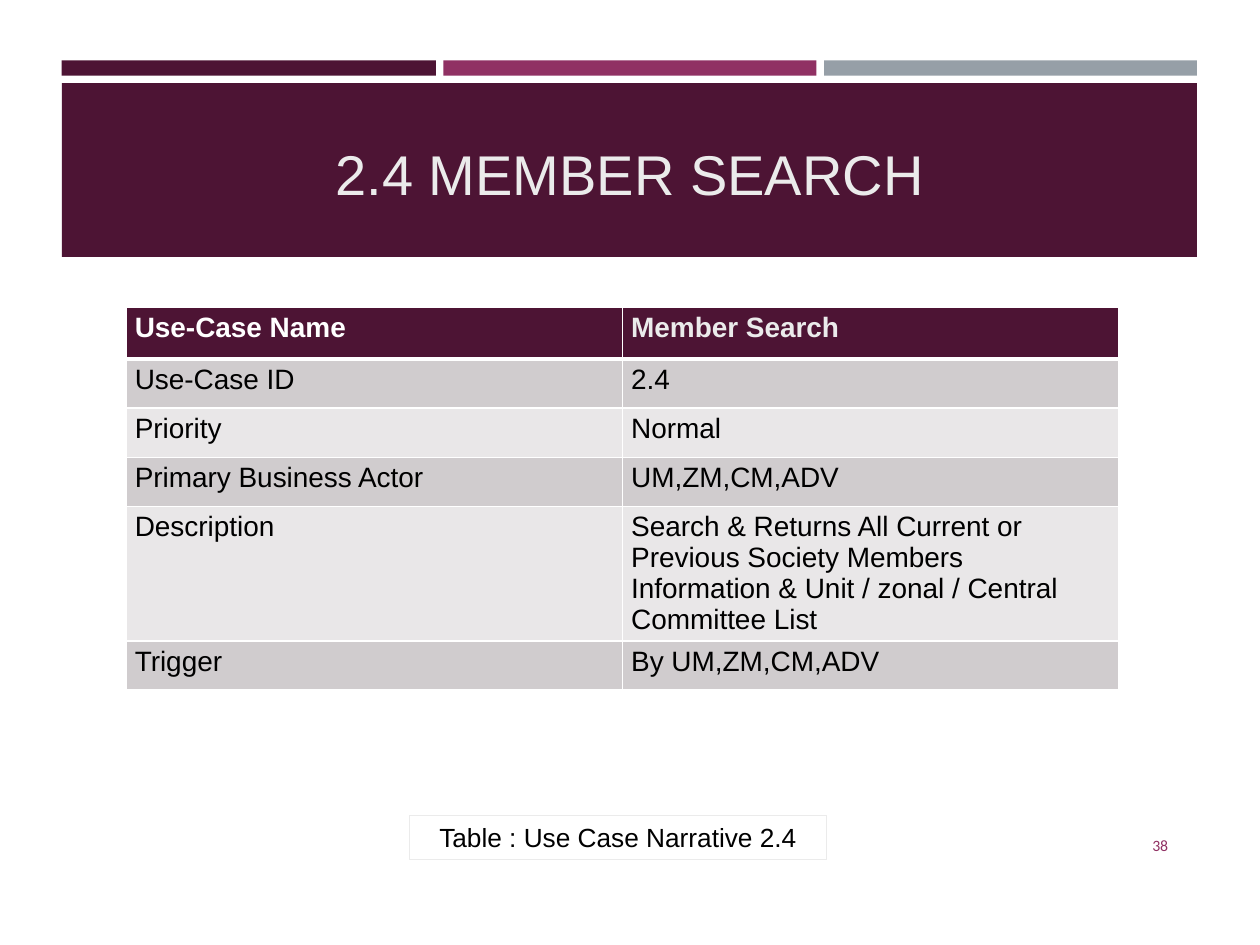
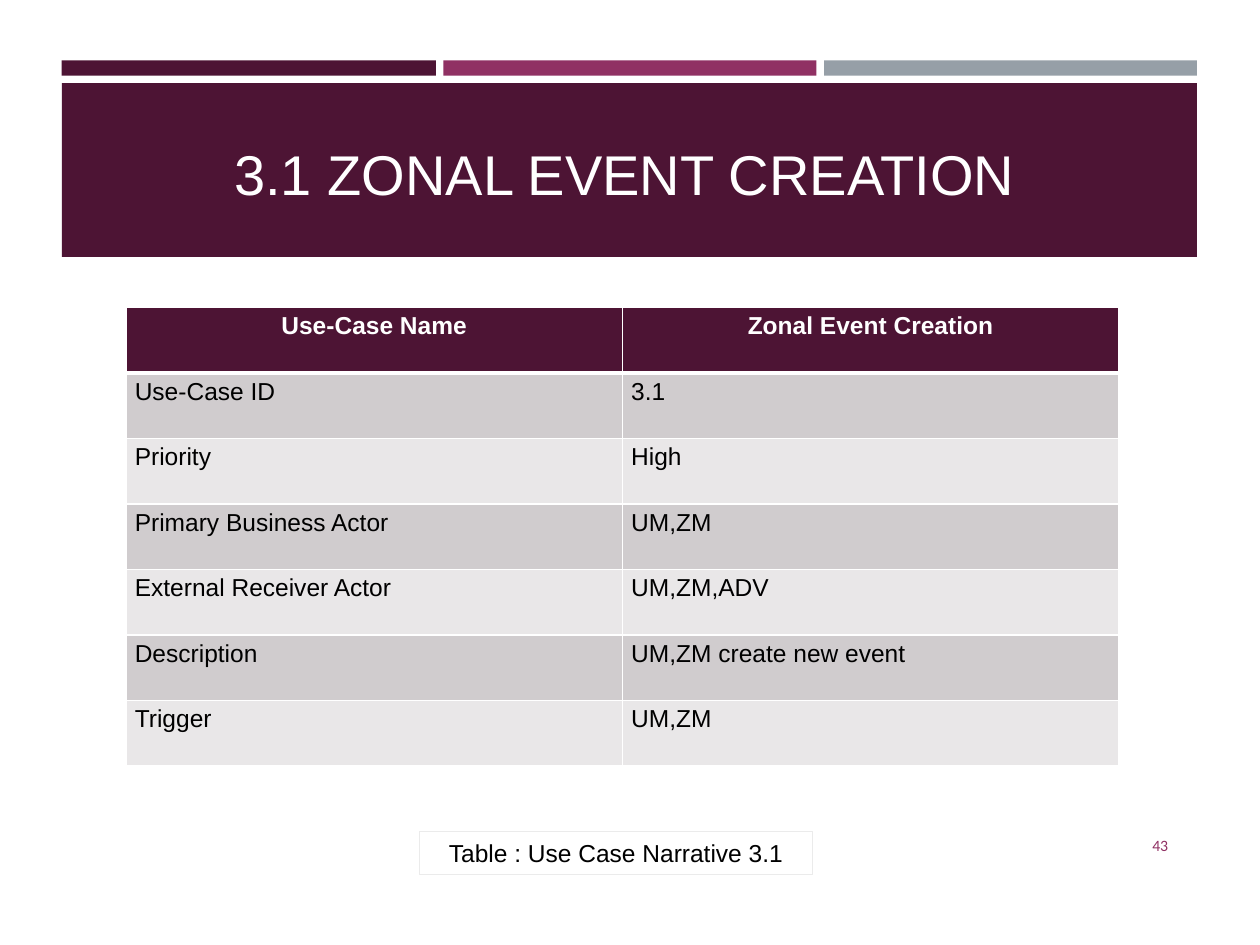
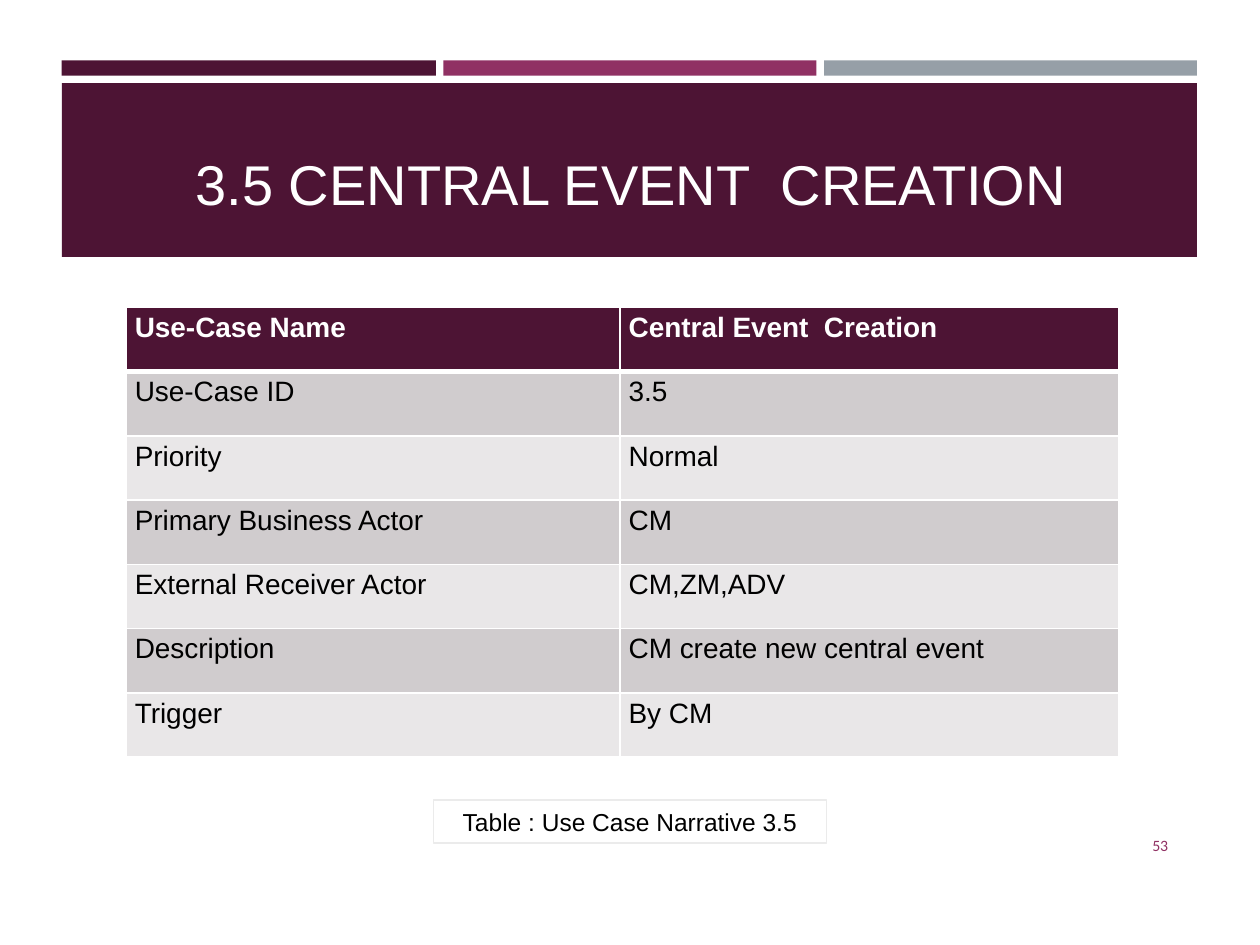
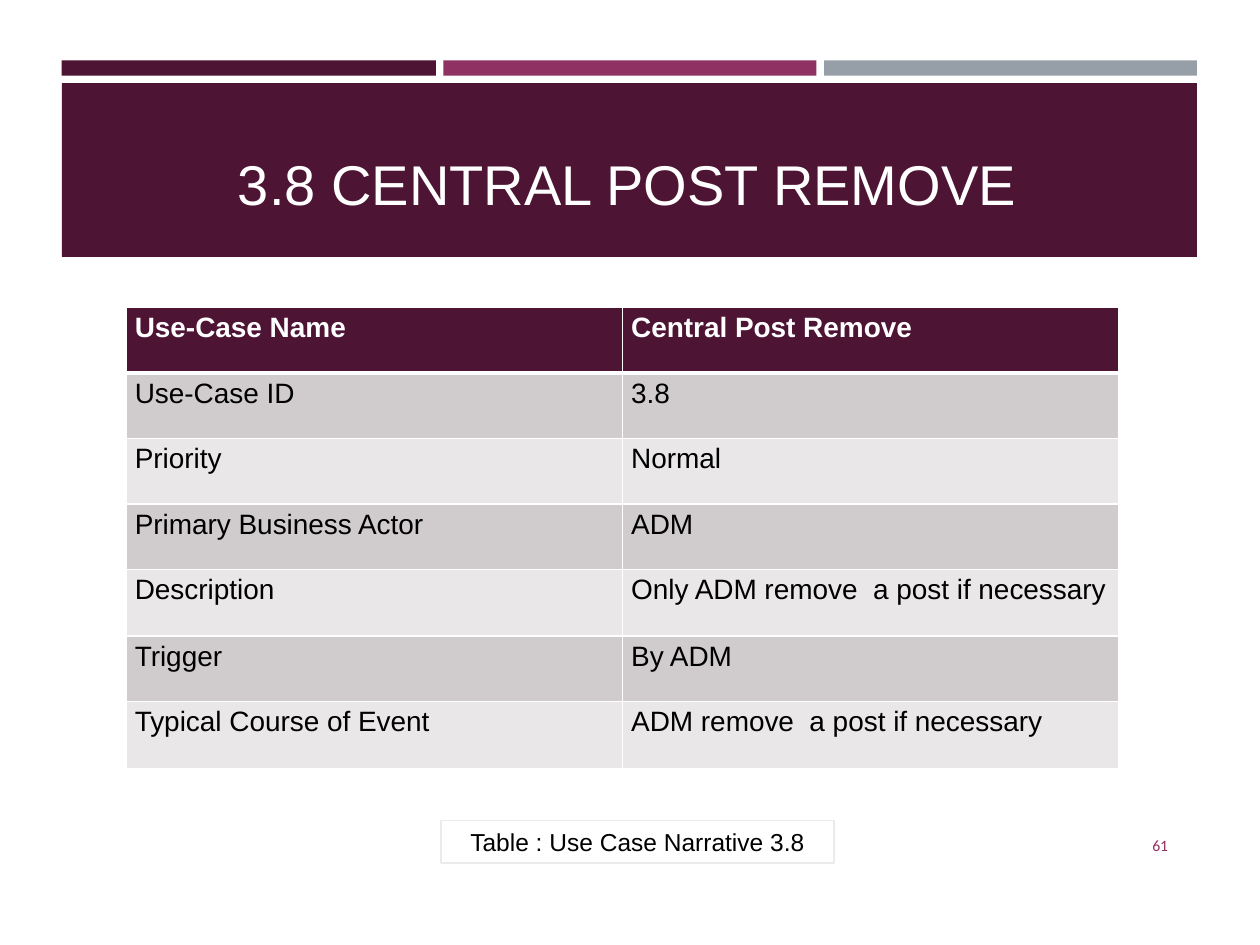
from dataclasses import dataclass

from lxml.etree import SubElement
from pptx import Presentation
from pptx.dml.color import RGBColor
from pptx.enum.shapes import MSO_SHAPE
from pptx.enum.text import MSO_ANCHOR, MSO_AUTO_SIZE, PP_ALIGN
from pptx.oxml.ns import qn
from pptx.util import Inches, Pt


@dataclass(frozen=True)
class Theme:
    plum: str = "4D1434"
    magenta: str = "903163"
    slate: str = "969FA7"
    white: str = "FFFFFF"
    pale: str = "EBEBEB"
    black: str = "000000"
    dark_row: str = "D0CCCE"
    light_row: str = "E9E7E8"
    font: str = "Arial"
    number_font: str = "Calibri"
    title_size: int = 32
    number_size: int = 9


THEME = Theme()

BANDS = [
    (0.49, 0.48, 2.97, 0.12, THEME.plum),
    (3.52, 0.48, 2.96, 0.12, THEME.magenta),
    (6.54, 0.48, 2.96, 0.12, THEME.slate),
    (0.49, 0.66, 9.01, 1.38, THEME.plum),
]
NUMBER_AREA = (8.53, 6.51, 0.84, 0.4)
TABLE_LEFT, TABLE_TOP = 1, 2.44

PAGES = [
    {
        "title": "2.4 MEMBER SEARCH",
        "title_area": (1, 0.92, 8, 0.77),
        "accent": THEME.pale,
        "number": "38",
        "columns": (3.94, 3.94),
        "heights": (0.41, 0.39, 0.39, 0.39, 0.93, 0.39),
        "table_size": 16,
        "header_align": PP_ALIGN.LEFT,
        "rows": [
            ("Use-Case Name", "Member Search"),
            ("Use-Case ID", "2.4"),
            ("Priority", "Normal"),
            ("Primary Business Actor", "UM,ZM,CM,ADV"),
            ("Description", "Search & Returns All Current or Previous Society Members "
                            "Information & Unit / zonal / Central Committee List"),
            ("Trigger", "By UM,ZM,CM,ADV"),
        ],
        "caption": "Table : Use Case Narrative 2.4",
        "caption_area": (3.25, 6.47, 3.31, 0.35),
        "caption_size": 15,
    },
    {
        "title": "3.1 ZONAL EVENT CREATION ",
        "title_area": (0.65, 0.92, 8.74, 0.77),
        "accent": THEME.white,
        "number": "43",
        "columns": (3.94, 3.94),
        "heights": (0.52,) * 7,
        "table_size": 14,
        "header_align": PP_ALIGN.CENTER,
        "rows": [
            ("Use-Case Name", "Zonal Event Creation"),
            ("Use-Case ID", "3.1"),
            ("Priority", "High"),
            ("Primary Business Actor", "UM,ZM"),
            ("External Receiver Actor", "UM,ZM,ADV"),
            ("Description", "UM,ZM create new event"),
            ("Trigger", "UM,ZM"),
        ],
        "caption": "Table : Use Case Narrative 3.1",
        "caption_area": (3.33, 6.6, 3.12, 0.34),
        "caption_size": 14,
    },
    {
        "title": "3.5 CENTRAL EVENT  CREATION",
        "title_area": (0.64, 0.92, 8.74, 0.85),
        "accent": THEME.white,
        "number": "53",
        "columns": (3.92, 3.96),
        "heights": (0.51,) * 7,
        "table_size": 16,
        "header_align": PP_ALIGN.LEFT,
        "rows": [
            ("Use-Case Name", "Central Event  Creation"),
            ("Use-Case ID", "3.5"),
            ("Priority", "Normal"),
            ("Primary Business Actor", "CM"),
            ("External Receiver Actor", "CM,ZM,ADV"),
            ("Description", "CM create new central event"),
            ("Trigger", "By CM"),
        ],
        "caption": "Table : Use Case Narrative 3.5",
        "caption_area": (3.44, 6.35, 3.12, 0.34),
        "caption_size": 14,
    },
    {
        "title": "3.8 CENTRAL POST REMOVE",
        "title_area": (0.61, 1.08, 8.74, 0.69),
        "accent": THEME.white,
        "number": "61",
        "columns": (3.94, 3.94),
        "heights": (0.52, 0.52, 0.52, 0.52, 0.53, 0.52, 0.53),
        "table_size": 16,
        "header_align": PP_ALIGN.LEFT,
        "rows": [
            ("Use-Case Name", "Central Post Remove"),
            ("Use-Case ID", "3.8"),
            ("Priority", "Normal"),
            ("Primary Business Actor", "ADM"),
            ("Description", "Only ADM remove  a post if necessary"),
            ("Trigger", "By ADM"),
            ("Typical Course of Event", "ADM remove  a post if necessary"),
        ],
        "caption": "Table : Use Case Narrative 3.8",
        "caption_area": (3.5, 6.51, 3.12, 0.34),
        "caption_size": 14,
    },
]


def inches(area):
    return [Inches(length) for length in area]


def write(frame, text, size, color, align, font=THEME.font, bold=False):
    para = frame.paragraphs[0]
    para.alignment = align
    span = para.add_run()
    span.text = text
    span.font.name = font
    span.font.size = Pt(size)
    span.font.bold = bold
    span.font.color.rgb = RGBColor.from_string(color)


def add_rectangle(page, area):
    box = page.shapes.add_shape(MSO_SHAPE.RECTANGLE, *inches(area))
    box.shadow.inherit = False
    return box


def move_bands_to_layout(page):
    layout_tree = page.slide_layout.shapes.element
    for index, (*area, color) in enumerate(BANDS):
        band = add_rectangle(page, area)
        band.fill.solid()
        band.fill.fore_color.rgb = RGBColor.from_string(color)
        band.line.fill.background()
        band.element.nvSpPr.cNvPr.set("id", str(100 + index))
        layout_tree.insert(2 + index, band.element)


def add_title(page, content):
    title = page.shapes.title
    title.left, title.top, title.width, title.height = inches(content["title_area"])
    frame = title.text_frame
    frame.word_wrap = True
    frame.auto_size = MSO_AUTO_SIZE.NONE
    frame.vertical_anchor = MSO_ANCHOR.BOTTOM
    write(frame, content["title"], THEME.title_size, content["accent"], PP_ALIGN.CENTER)


def add_border(cell, side, width):
    properties = cell._tc.get_or_add_tcPr()
    line = SubElement(properties, qn(f"a:ln{side}"), w=str(Pt(width)))
    fill = SubElement(line, qn("a:solidFill"))
    SubElement(fill, qn("a:srgbClr"), val=THEME.white)


def format_cell(cell, row_index, fill):
    cell.margin_left = cell.margin_right = Inches(0.07)
    cell.margin_top = cell.margin_bottom = Inches(0.04)
    for side in "LRTB":
        under_header = (row_index, side) in ((0, "B"), (1, "T"))
        add_border(cell, side, 3 if under_header else 1)
    cell.fill.solid()
    cell.fill.fore_color.rgb = RGBColor.from_string(fill)


def add_narrative(page, content):
    rows, columns, heights = content["rows"], content["columns"], content["heights"]
    area = (TABLE_LEFT, TABLE_TOP, sum(columns), sum(heights))
    table = page.shapes.add_table(len(rows), len(columns), *inches(area)).table
    table.horz_banding = False
    for column, width in zip(table.columns, columns):
        column.width = Inches(width)
    for row_index, (texts, height) in enumerate(zip(rows, heights)):
        table.rows[row_index].height = Inches(height)
        header = row_index == 0
        fill = THEME.plum if header else (THEME.light_row, THEME.dark_row)[row_index % 2]
        colors = (THEME.white, content["accent"]) if header else (THEME.black,) * 2
        align = content["header_align"] if header else PP_ALIGN.LEFT
        for column_index, (text, color) in enumerate(zip(texts, colors)):
            cell = table.cell(row_index, column_index)
            format_cell(cell, row_index, fill)
            write(cell.text_frame, text, content["table_size"], color, align, bold=header)


def add_number(page, number):
    box = page.shapes.add_textbox(*inches(NUMBER_AREA))
    box.text_frame.word_wrap = True
    box.text_frame.vertical_anchor = MSO_ANCHOR.MIDDLE
    write(box.text_frame, number, THEME.number_size, THEME.magenta, PP_ALIGN.RIGHT,
          THEME.number_font)


def add_caption(page, content):
    box = add_rectangle(page, content["caption_area"])
    box.fill.background()
    box.line.color.rgb = RGBColor.from_string(THEME.pale)
    box.line.width = Pt(0.75)
    frame = box.text_frame
    frame.word_wrap = True
    frame.auto_size = MSO_AUTO_SIZE.SHAPE_TO_FIT_TEXT
    frame.vertical_anchor = MSO_ANCHOR.MIDDLE
    write(frame, content["caption"], content["caption_size"], THEME.black, PP_ALIGN.CENTER)


def main():
    deck = Presentation()
    deck.slide_width, deck.slide_height = Inches(10), Inches(7.5)
    title_only = deck.slide_layouts[5]
    for index, content in enumerate(PAGES):
        page = deck.slides.add_slide(title_only)
        if index == 0:
            move_bands_to_layout(page)
        add_title(page, content)
        add_narrative(page, content)
        add_number(page, content["number"])
        add_caption(page, content)
    deck.save("out.pptx")


if __name__ == "__main__":
    main()
